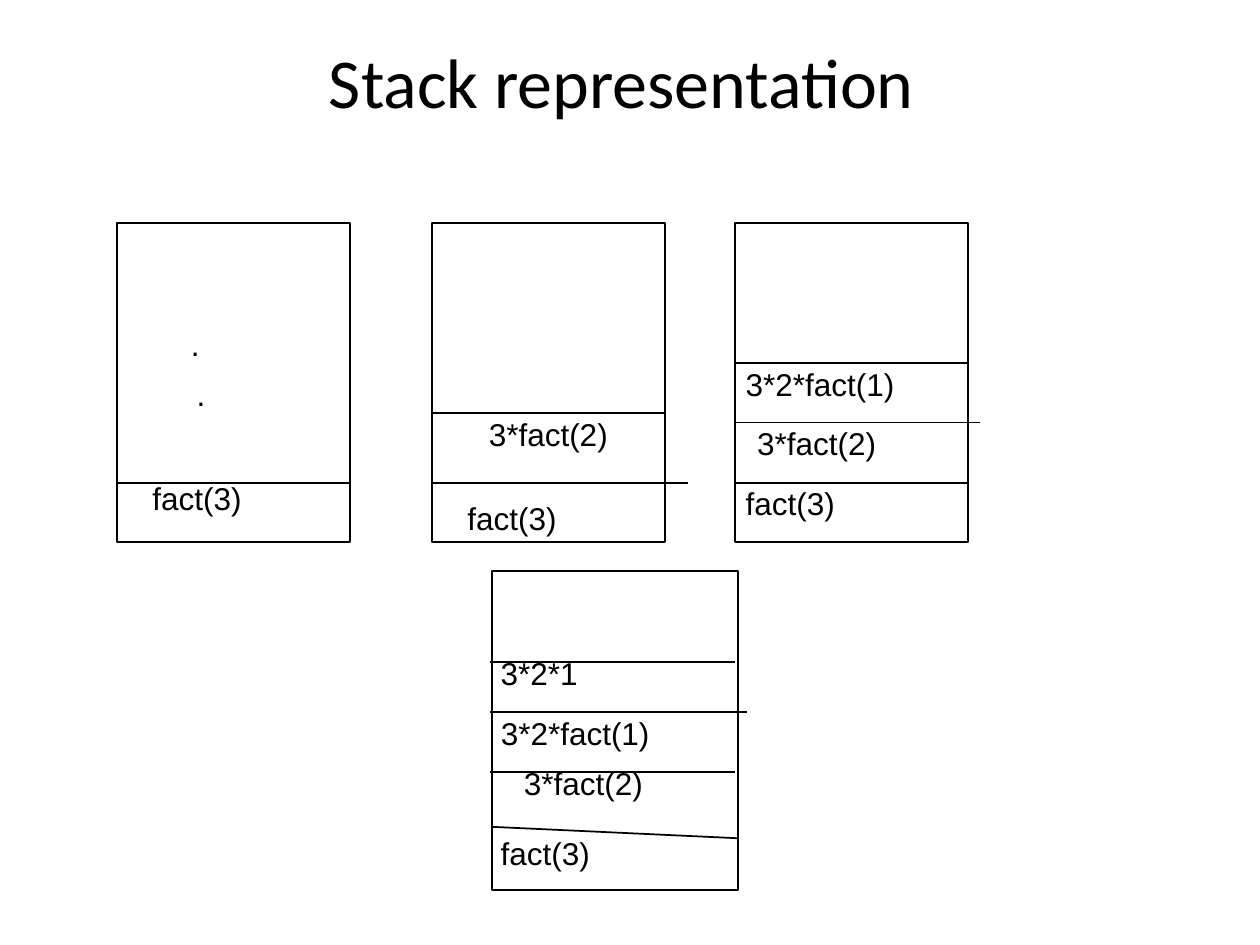
from dataclasses import dataclass

import pptx
import pptx.dml.color
import pptx.enum.shapes
import pptx.enum.text
import pptx.oxml.ns
import pptx.util
from lxml import etree

Pt = pptx.util.Pt
BLACK, WHITE = "000000", "FFFFFF"
LINE_WIDTH = 0.99
LABEL_HEIGHT = 29


@dataclass
class Divider:
    """A line between two stack frames."""
    left: float
    right: float
    top: float
    drop: float = 0


@dataclass
class Label:
    """The text of one stack frame."""
    text: str
    left: float
    top: float
    width: float
    wrap: bool = False


@dataclass
class Stack:
    """One state of the call stack."""
    left: float
    top: float
    width: float
    height: float
    dividers: list[Divider]
    labels: list[Label]


def set_colour(colour_format, colour: str) -> None:
    """Make a fill or line solid in a hex colour."""
    colour_format.solid()
    colour_format.fore_color.rgb = pptx.dml.color.RGBColor.from_string(colour)


def write_text(frame, text: str, *, font: str, size: float, colour: str = BLACK,
               align=pptx.enum.text.PP_ALIGN.LEFT, spacing: float = 1.0,
               wrap: bool = True) -> None:
    """Fill a text frame with one formatted paragraph."""
    frame.word_wrap = wrap
    frame.vertical_anchor = pptx.enum.text.MSO_ANCHOR.TOP
    para = frame.paragraphs[0]
    para.alignment = align
    para.line_spacing = spacing
    span = para.add_run()
    span.text = text
    span.font.name = font
    span.font.size = Pt(size)
    set_colour(span.font.fill, colour)


def draw_divider(page, divider: Divider) -> None:
    """Draw one dividing line without a shadow."""
    line = page.shapes.add_connector(
        pptx.enum.shapes.MSO_CONNECTOR.STRAIGHT,
        Pt(divider.left), Pt(divider.top),
        Pt(divider.right), Pt(divider.top + divider.drop))
    line.line.width = Pt(LINE_WIDTH)
    set_colour(line.line.fill, BLACK)
    etree.SubElement(line._element.spPr, pptx.oxml.ns.qn("a:effectLst"))


def draw_label(page, label: Label) -> None:
    """Draw the text of one stack frame."""
    box = page.shapes.add_textbox(Pt(label.left), Pt(label.top),
                                  Pt(label.width), Pt(LABEL_HEIGHT))
    write_text(box.text_frame, label.text, font="Arial", size=18, wrap=label.wrap)
    box.text_frame.auto_size = pptx.enum.text.MSO_AUTO_SIZE.SHAPE_TO_FIT_TEXT


def draw_stack(page, stack: Stack) -> None:
    """Draw a stack outline with its dividers and labels."""
    box = page.shapes.add_shape(
        pptx.enum.shapes.MSO_SHAPE.FLOWCHART_PROCESS,
        Pt(stack.left), Pt(stack.top), Pt(stack.width), Pt(stack.height))
    box.shadow.inherit = False
    set_colour(box.fill, WHITE)
    set_colour(box.line.fill, BLACK)
    box.line.width = Pt(LINE_WIDTH)
    for divider in stack.dividers:
        draw_divider(page, divider)
    for label in stack.labels:
        draw_label(page, label)


TOP_ROW = dict(top=127.5, width=133.2, height=182.4)
BASE = 275.9
STACKS = [
    Stack(left=66.8, **TOP_ROW,
          dividers=[Divider(66.8, 200, BASE)],
          labels=[Label("fact(3)", 80, 270, 106.6, wrap=True),
                  Label(".", 105.3, 210.5, 19.6),
                  Label(".", 102, 182.2, 19.6)]),
    Stack(left=246.8, **TOP_ROW,
          dividers=[Divider(246.8, 393.1, BASE), Divider(246.8, 380, 236.2)],
          labels=[Label("fact(3)", 260, 281.5, 100, wrap=True),
                  Label("3*fact(2)", 272.2, 233.6, 84)]),
    Stack(left=419.9, **TOP_ROW,
          dividers=[Divider(419.9, 553.4, BASE), Divider(419.9, 560.2, 241.5),
                    Divider(419.9, 553.4, 207.4)],
          labels=[Label("fact(3)", 419, 272.9, 66),
                  Label("3*fact(2)", 425.5, 239, 84),
                  Label("3*2*fact(1)", 419, 204.8, 100)]),
    Stack(left=281.3, top=326.2, width=140.4, height=182.4,
          dividers=[Divider(281.3, 421.7, 472.5, drop=6.5),
                    Divider(280, 420, 441.2), Divider(280, 427, 406.8),
                    Divider(280, 420, 378.5)],
          labels=[Label("fact(3)", 279, 473, 66),
                  Label("3*fact(2)", 292.3, 433, 84),
                  Label("3*2*fact(1)", 279.1, 404.6, 100),
                  Label("3*2*1", 279, 370.1, 59)]),
]

deck = pptx.Presentation()
deck.slide_width, deck.slide_height = Pt(720), Pt(540)
page = deck.slides.add_slide(deck.slide_layouts[5])
set_colour(page.background.fill, WHITE)

title = page.shapes.title
title.left, title.top, title.width, title.height = Pt(36), Pt(21.3), Pt(638.2), Pt(80.6)
write_text(title.text_frame, "Stack representation", font="Calibri", size=40,
           align=pptx.enum.text.PP_ALIGN.CENTER, spacing=0.97)
title.text_frame.auto_size = pptx.enum.text.MSO_AUTO_SIZE.NONE

for stack in STACKS:
    draw_stack(page, stack)

deck.save("out.pptx")
